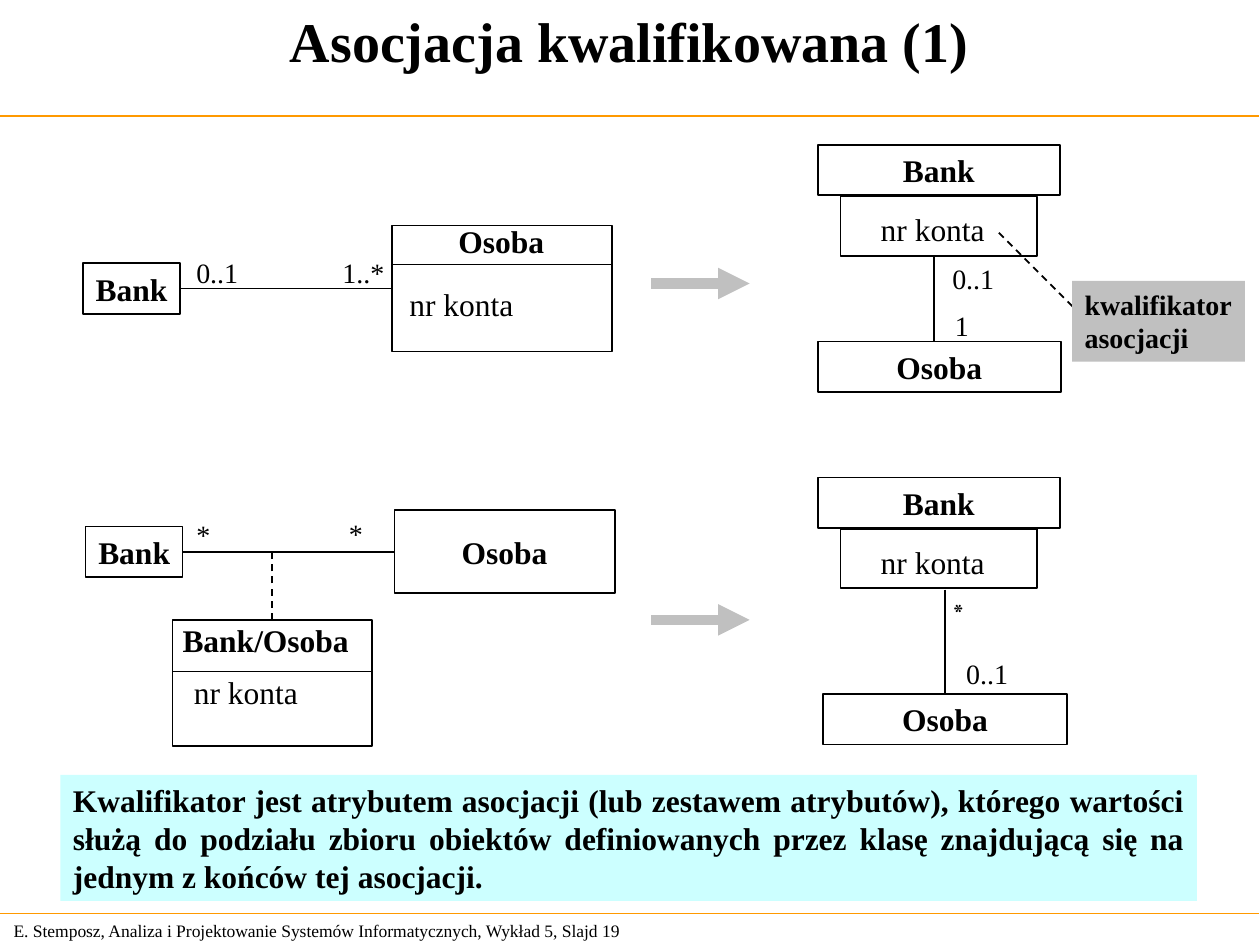
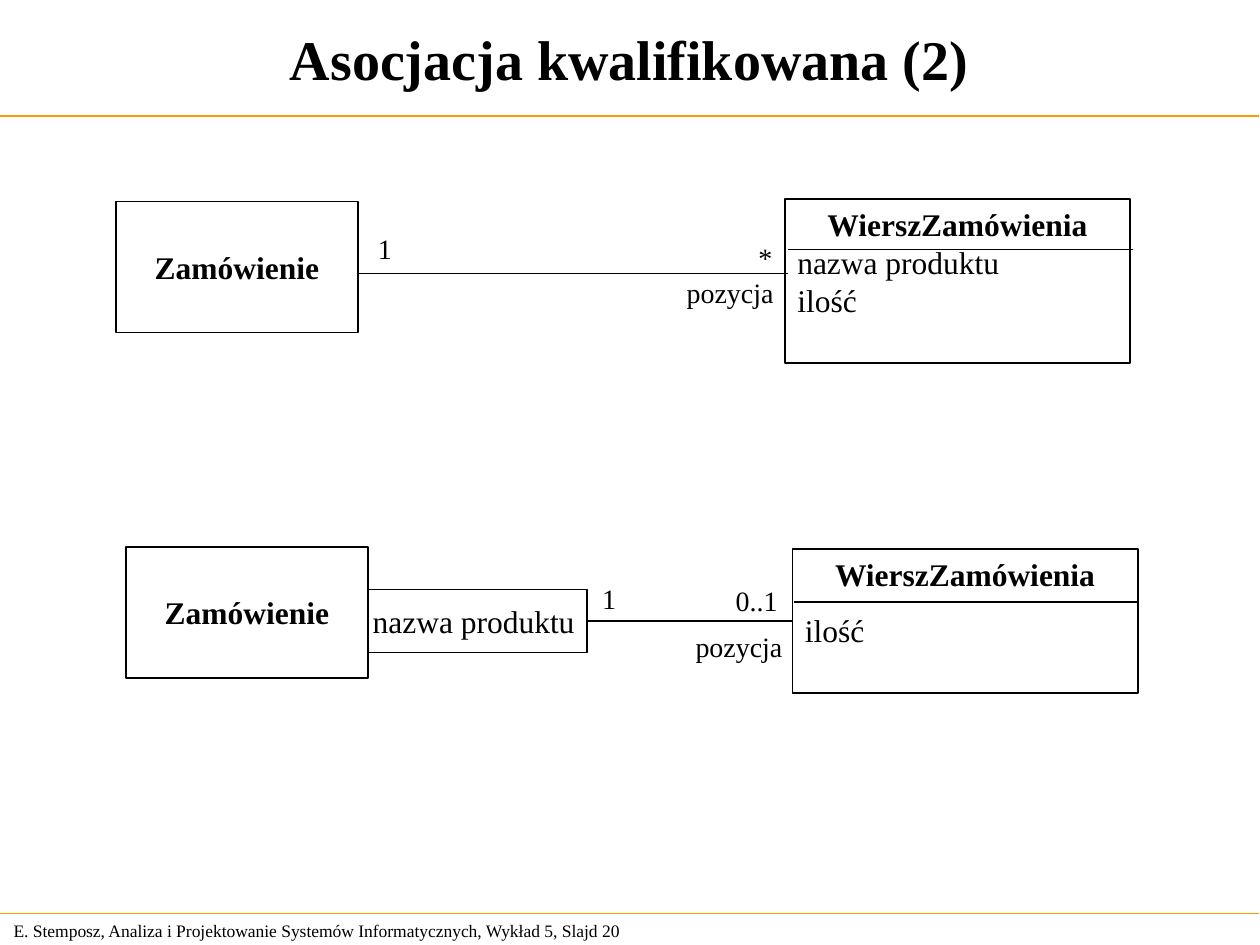
import pptx
import pptx.dml.color
import pptx.enum.dml
import pptx.enum.shapes
import pptx.enum.text
import pptx.oxml.ns
import pptx.util
from lxml import etree

Inches = pptx.util.Inches
ALIGN = pptx.enum.text.PP_ALIGN
ANCHOR = pptx.enum.text.MSO_ANCHOR
BLACK, WHITE, ORANGE, GREY, CYAN = "000000", "FFFFFF", "FF9900", "C0C0C0", "CCFFFF"
SERIF = "Times New Roman"
TOP, LEFT, RIGHT = 0, 1, 3
FOOTER = "E. Stemposz, Analiza i Projektowanie Systemów Informatycznych, Wykład 5, Slajd {}"


def rgb(colour):
    """Turn a hex string into a colour."""
    return pptx.dml.color.RGBColor.from_string(colour)


class UmlDeck:
    """Lecture slides with UML class diagrams."""

    def __init__(self):
        """Start an empty deck."""
        self.deck = pptx.Presentation()
        self.deck.slide_width, self.deck.slide_height = Inches(10), Inches(7.5)
        self.slide = None

    def start(self, title, number, anchor):
        """Open a slide with its title, rules and footer."""
        self.slide = self.deck.slides.add_slide(self.deck.slide_layouts[5])
        self.label(FOOTER.format(number), 0.01, 7.25, 5.24, 0.27, size=10, anchor=ANCHOR.MIDDLE, wrap=True)
        for y in (0.92, 7.25):
            self.line((-0.01, y), (9.99, y), ORANGE, 0.75)
        heading = self.slide.shapes.title
        heading.left, heading.top = Inches(0), Inches(0)
        heading.width, heading.height = Inches(9.99), Inches(0.92)
        self.set_text(heading, [title], size=32, bold=True, align=ALIGN.CENTER, anchor=anchor)

    def set_text(self, shape, lines, size=18, bold=False, align=ALIGN.LEFT, anchor=ANCHOR.TOP,
                 font=SERIF, inset=(0.1, 0.05), wrap=True):
        """Fill a shape with paragraphs in one style."""
        frame = shape.text_frame
        frame.text = "\n".join(lines)
        frame.word_wrap = wrap
        frame.auto_size = pptx.enum.text.MSO_AUTO_SIZE.NONE
        frame.vertical_anchor = anchor
        frame.margin_left = frame.margin_right = Inches(inset[0])
        frame.margin_top = frame.margin_bottom = Inches(inset[1])
        for paragraph in frame.paragraphs:
            paragraph.alignment = align
            paragraph.font.name = font
            paragraph.font.size = pptx.util.Pt(size)
            paragraph.font.bold = bold
            paragraph.font.color.rgb = rgb(BLACK)

    def label(self, text, x, y, width, height=0.4, wrap=False, **style):
        """Place free text."""
        box = self.slide.shapes.add_textbox(Inches(x), Inches(y), Inches(width), Inches(height))
        self.set_text(box, [text], wrap=wrap, **style)

    def multiplicity(self, text, x, y, font=SERIF):
        """Place an association end's multiplicity."""
        self.label(text, x, y, 0.53 if len(text) > 1 else 0.31, 0.37, size=16, font=font)

    def role(self, text, x, y):
        """Place an association end's role name."""
        self.label(text, x, y, 0.69, 0.27, size=16, inset=(0, 0))

    def box(self, x, y, width, height, lines=(), fill=None, border=BLACK, **style):
        """Draw a rectangle, with text if given."""
        shape = self.slide.shapes.add_shape(
            pptx.enum.shapes.MSO_SHAPE.RECTANGLE, Inches(x), Inches(y), Inches(width), Inches(height))
        shape.shadow.inherit = False
        if fill:
            shape.fill.solid()
            shape.fill.fore_color.rgb = rgb(fill)
        else:
            shape.fill.background()
        if border:
            shape.line.color.rgb = rgb(border)
            shape.line.width = pptx.util.Pt(1)
        else:
            shape.line.fill.background()
        if lines:
            self.set_text(shape, lines, **style)
        return shape

    def uml_class(self, name, x, y, width, height=0.4, fill=None):
        """Draw a class that shows only its name."""
        return self.box(x, y, width, height, [name], fill, bold=True,
                        align=ALIGN.CENTER, anchor=ANCHOR.MIDDLE)

    def detailed_class(self, name, attributes, x, y, width, height, gap=0):
        """Draw a class with its attributes below the name."""
        shape = self.box(x, y, width, height, [name, *attributes])
        heading, first, *_ = shape.text_frame.paragraphs
        heading.alignment = ALIGN.CENTER
        heading.font.bold = True
        first.space_before = pptx.util.Pt(gap)
        return shape

    def line(self, start, end, colour=BLACK, width=1, dashed=False, arrow=False):
        """Draw a line; an end is a point or a (shape, side) pair."""
        glued = [not isinstance(point[0], (int, float)) for point in (start, end)]
        begin_at = (0, 0) if glued[0] else start
        end_at = (0, 0) if glued[1] else end
        connector = self.slide.shapes.add_connector(
            pptx.enum.shapes.MSO_CONNECTOR.STRAIGHT, *map(Inches, (*begin_at, *end_at)))
        if glued[0]:
            connector.begin_connect(*start)
        if glued[1]:
            connector.end_connect(*end)
        connector.line.color.rgb = rgb(colour)
        connector.line.width = pptx.util.Pt(width)
        if dashed:
            connector.line.dash_style = pptx.enum.dml.MSO_LINE.DASH
        if arrow:
            outline = connector.line._get_or_add_ln()
            etree.SubElement(outline, pptx.oxml.ns.qn("a:tailEnd"), type="triangle")
        etree.SubElement(connector._element.spPr, pptx.oxml.ns.qn("a:effectLst"))


def bank_slide(uml):
    """Show how a qualifier replaces an attribute of a bank's client."""
    uml.start("Asocjacja kwalifikowana (1)", 19, ANCHOR.TOP)
    uml.box(0.48, 6.15, 9.02, 1, [
        "Kwalifikator jest atrybutem asocjacji (lub zestawem atrybutów), którego wartości służą "
        "do podziału zbioru obiektów definiowanych przez klasę znajdującą się na jednym z końców "
        "tej asocjacji."], CYAN, None, bold=True, align=ALIGN.JUSTIFY)

    for top in (1.15, 3.79):
        uml.box(6.67, top + 0.41, 1.56, 0.47)
        uml.uml_class("Bank", 6.49, top, 1.92)
        uml.label("nr konta", 6.99, top + 0.52, 0.83, 0.3, inset=(0, 0))
    for y in (2.25, 4.92):
        uml.line((5.17, y), (5.95, y), GREY, 6, arrow=True)

    bank = uml.uml_class("Bank", 0.66, 2.09, 0.77)
    person = uml.box(3.11, 1.79, 1.75, 1)
    uml.line((3.11, 2.1), (4.86, 2.1))
    uml.label("Osoba", 3.54, 1.71, 0.88, bold=True)
    uml.label("nr konta", 3.15, 2.21, 1.02)
    uml.line((bank, RIGHT), (person, LEFT))
    uml.multiplicity("0..1", 1.46, 1.98)
    uml.multiplicity("1..*", 2.62, 1.98)

    uml.uml_class("Osoba", 6.49, 2.71, 1.93)
    uml.line((7.41, 2.04), (7.41, 2.71))
    uml.multiplicity("0..1", 7.46, 2.03)
    uml.multiplicity("1", 7.48, 2.4)
    uml.line((8.58, 2.5), (7.91, 1.83), dashed=True)
    uml.box(8.51, 2.23, 1.37, 0.64, ["kwalifikator", "asocjacji"], GREY, None,
            size=16, bold=True, wrap=False)

    bank = uml.uml_class("Bank", 0.68, 4.18, 0.77)
    person = uml.uml_class("Osoba", 3.13, 4.05, 1.75, 0.66)
    uml.line((bank, RIGHT), (person, LEFT))
    uml.multiplicity("*", 1.46, 4.06)
    uml.multiplicity("*", 2.67, 4.05)
    account = uml.box(1.37, 4.92, 1.58, 1)
    uml.label("Bank/Osoba", 1.35, 4.88, 1.52, bold=True)
    uml.label("nr konta", 1.44, 5.29, 1.02)
    uml.line((1.37, 5.33), (2.95, 5.33))
    uml.line((account, TOP), (2.16, 4.38), dashed=True)

    person = uml.uml_class("Osoba", 6.53, 5.51, 1.94)
    uml.line((7.5, 4.68), (person, TOP))
    uml.multiplicity("*", 7.46, 4.68, font="Cambria")
    uml.multiplicity("0..1", 7.57, 5.16)


def order_slide(uml):
    """Show an order and its lines without and with a qualifier."""
    uml.start("Asocjacja kwalifikowana (2)", 20, ANCHOR.MIDDLE)
    uml.uml_class("Zamówienie", 0.92, 1.6, 1.92, 1.04)
    uml.detailed_class("WierszZamówienia", ["nazwa produktu", "ilość"], 6.23, 1.58, 2.74, 1.3)
    uml.line((6.25, 1.98), (8.99, 1.98))
    uml.line((2.83, 2.17), (6.25, 2.17))
    uml.multiplicity("1", 2.9, 1.79)
    uml.multiplicity("*", 5.92, 1.86)
    uml.role("pozycja", 5.45, 2.19)

    qualifier = uml.box(2.86, 4.68, 1.8, 0.5, ["nazwa produktu"], anchor=ANCHOR.MIDDLE, wrap=False)
    uml.uml_class("Zamówienie", 1, 4.34, 1.92, 1.04, WHITE)
    order_line = uml.detailed_class("WierszZamówienia", ["ilość"], 6.29, 4.36, 2.74, 1.14, gap=10)
    uml.line((6.3, 4.78), (9.03, 4.78))
    uml.line((qualifier, RIGHT), (order_line, LEFT))
    uml.multiplicity("1", 4.68, 4.57)
    uml.multiplicity("0..1", 5.74, 4.58)
    uml.role("pozycja", 5.52, 5)


def main():
    """Build both slides and save them."""
    uml = UmlDeck()
    bank_slide(uml)
    order_slide(uml)
    uml.deck.save("out.pptx")


if __name__ == "__main__":
    main()
